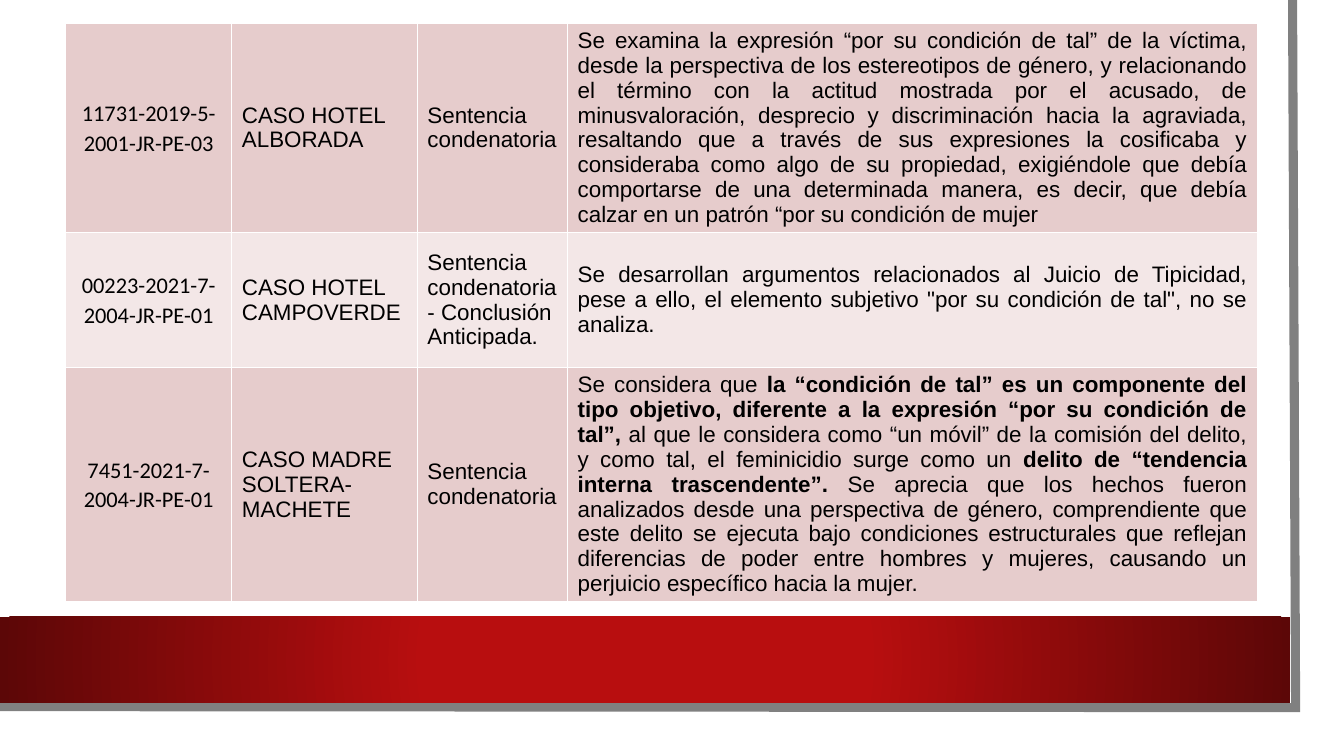
from pptx import Presentation
from pptx.dml.color import RGBColor
from pptx.enum.shapes import MSO_SHAPE as Shape
from pptx.enum.text import MSO_ANCHOR as Anchor, PP_ALIGN as Align
from pptx.oxml import parse_xml
from pptx.oxml.ns import nsdecls
from pptx.util import Inches, Pt


def color(code):
    return RGBColor.from_string(code)


def add_rect(left, top, width, height, code):
    rect = slide.shapes.add_shape(
        Shape.RECTANGLE, Inches(left), Inches(top), Inches(width), Inches(height))
    rect.shadow.inherit = False
    rect.fill.solid()
    rect.fill.fore_color.rgb = color(code)
    rect.line.fill.background()
    return rect


deck = Presentation()
deck.slide_width, deck.slide_height = Inches(13.33), Inches(7.5)
slide = deck.slides.add_slide(deck.slide_layouts[6])

# Sheet with its grey edge
add_rect(0, 0, 13.1, 7.27, "FFFFFF")
pen = slide.shapes.build_freeform(Inches(12.82), 0)
pen.add_line_segments(
    [(Inches(12.85), Inches(7.02)), (Inches(-0.03), Inches(7.01))], close=False)
edge = pen.convert_to_shape()
edge.shadow.inherit = False
edge.fill.background()
edge.line.color.rgb = color("808080")
edge.line.width = Pt(6.5)
edge.line._ln.append(parse_xml(f'<a:miter {nsdecls("a")} lim="800000"/>'))

# Red band, darker towards its ends
band = add_rect(0, 6.12, 12.8, 0.85, "B80E0F")
solid = band.fill._xPr.find("{*}solidFill")
solid.getparent().replace(solid, parse_xml(
    f'<a:gradFill {nsdecls("a")} rotWithShape="1"><a:gsLst>'
    '<a:gs pos="34000"><a:srgbClr val="B80E0F"/></a:gs>'
    '<a:gs pos="100000"><a:srgbClr val="5C0707"/></a:gs></a:gsLst>'
    '<a:path path="circle"><a:fillToRect l="50000" t="50000" r="50000" b="50000"/>'
    '</a:path></a:gradFill>'))

# Each case: file number, name, ruling, analysis as (text, bold) runs
cases = [
    ("11731-2019-5-2001-JR-PE-03", "CASO HOTEL ALBORADA", "Sentencia condenatoria", [
        ("Se examina la expresión “por su condición de tal” de la víctima, desde la "
         "perspectiva de los estereotipos de género, y relacionando el término con la "
         "actitud mostrada por el acusado, de minusvaloración, desprecio y "
         "discriminación hacia la agraviada, resaltando que a través de sus expresiones "
         "la cosificaba y consideraba como algo de su propiedad, exigiéndole que debía "
         "comportarse de una determinada manera, es decir, que debía calzar en un "
         "patrón “por su condición de mujer", False)]),
    ("00223-2021-7-2004-JR-PE-01", "CASO HOTEL CAMPOVERDE",
     "Sentencia condenatoria- Conclusión Anticipada.", [
        ("Se desarrollan argumentos relacionados al Juicio de Tipicidad, pese a ello, el "
         "elemento subjetivo \"por su condición de tal\", no se analiza. ", False)]),
    ("7451-2021-7-2004-JR-PE-01", "CASO MADRE SOLTERA- MACHETE", "Sentencia condenatoria", [
        ("Se considera que ", False),
        ("la “condición de tal” es un componente del tipo objetivo, diferente a la "
         "expresión “por su condición de tal”, ", True),
        ("al que le considera como “un móvil” de la comisión del delito, y como tal, el "
         "feminicidio surge como un ", False),
        ("delito de “tendencia interna trascendente”.", True),
        (" Se aprecia que los hechos fueron analizados desde una perspectiva de género, "
         "comprendiente que este delito se ejecuta bajo condiciones estructurales que "
         "reflejan diferencias de poder entre hombres y mujeres, causando un perjuicio "
         "específico hacia la mujer.", False)]),
]
widths = [1.65, 1.84, 1.49, 6.84]
heights = [2.03, 1.34, 2.27]
number = {"alignment": Align.CENTER, "line_spacing": 1.07, "space_after": Pt(8)}
formats = [number, {"alignment": Align.LEFT}, {"alignment": Align.LEFT},
           {"alignment": Align.JUSTIFY}]
insets = {"margin_left": Inches(0.07), "margin_right": Inches(0.07),
          "margin_top": 0, "margin_bottom": 0}

table = slide.shapes.add_table(
    len(cases), len(widths), Inches(0.65), Inches(0.23),
    Inches(sum(widths)), Inches(sum(heights))).table
table.first_row = False
for col, width in zip(table.columns, widths):
    col.width = Inches(width)
for row, height in zip(table.rows, heights):
    row.height = Inches(height)

for r, case in enumerate(cases):
    for c, text in enumerate(case):
        cell = table.cell(r, c)
        cell.vertical_anchor = Anchor.MIDDLE
        if c == 0:
            for name, value in insets.items():
                setattr(cell, name, value)
        props = cell._tc.get_or_add_tcPr()
        for side in "LRTB":
            props.append(parse_xml(
                f'<a:ln{side} {nsdecls("a")} w="12700"><a:solidFill>'
                f'<a:srgbClr val="FFFFFF"/></a:solidFill></a:ln{side}>'))
        cell.fill.solid()
        cell.fill.fore_color.rgb = color("F3E7E7" if r % 2 else "E6CCCC")
        para = cell.text_frame.paragraphs[0]
        for name, value in formats[c].items():
            setattr(para, name, value)
        for words, bold in text if c == 3 else [(text, False)]:
            run = para.add_run()
            run.text = words
            font = {"name": "Calibri" if c == 0 else "Arial", "size": Pt(16), "bold": bold}
            for name, value in font.items():
                setattr(run.font, name, value)
            run.font.color.rgb = color("000000")

deck.save("out.pptx")
